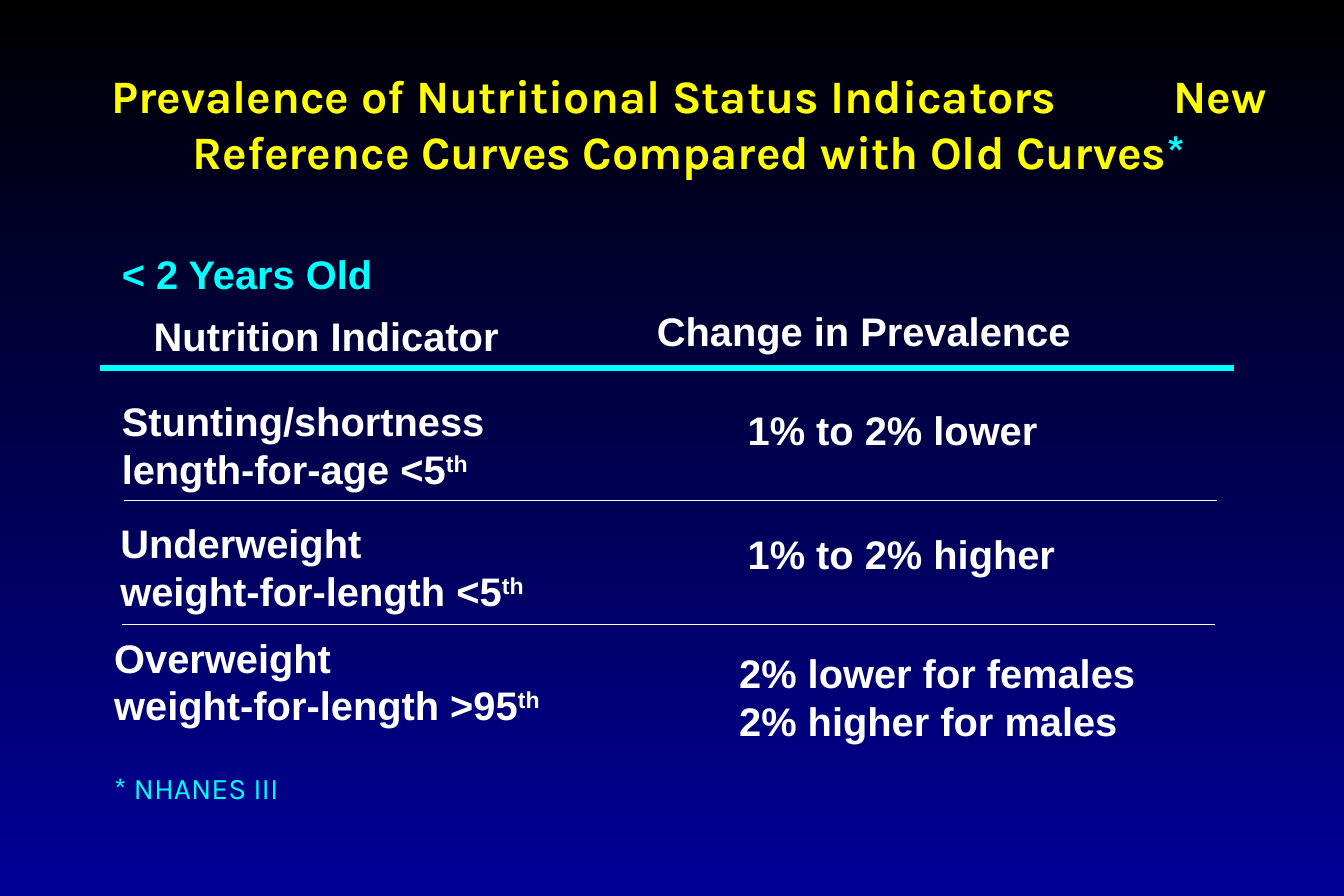
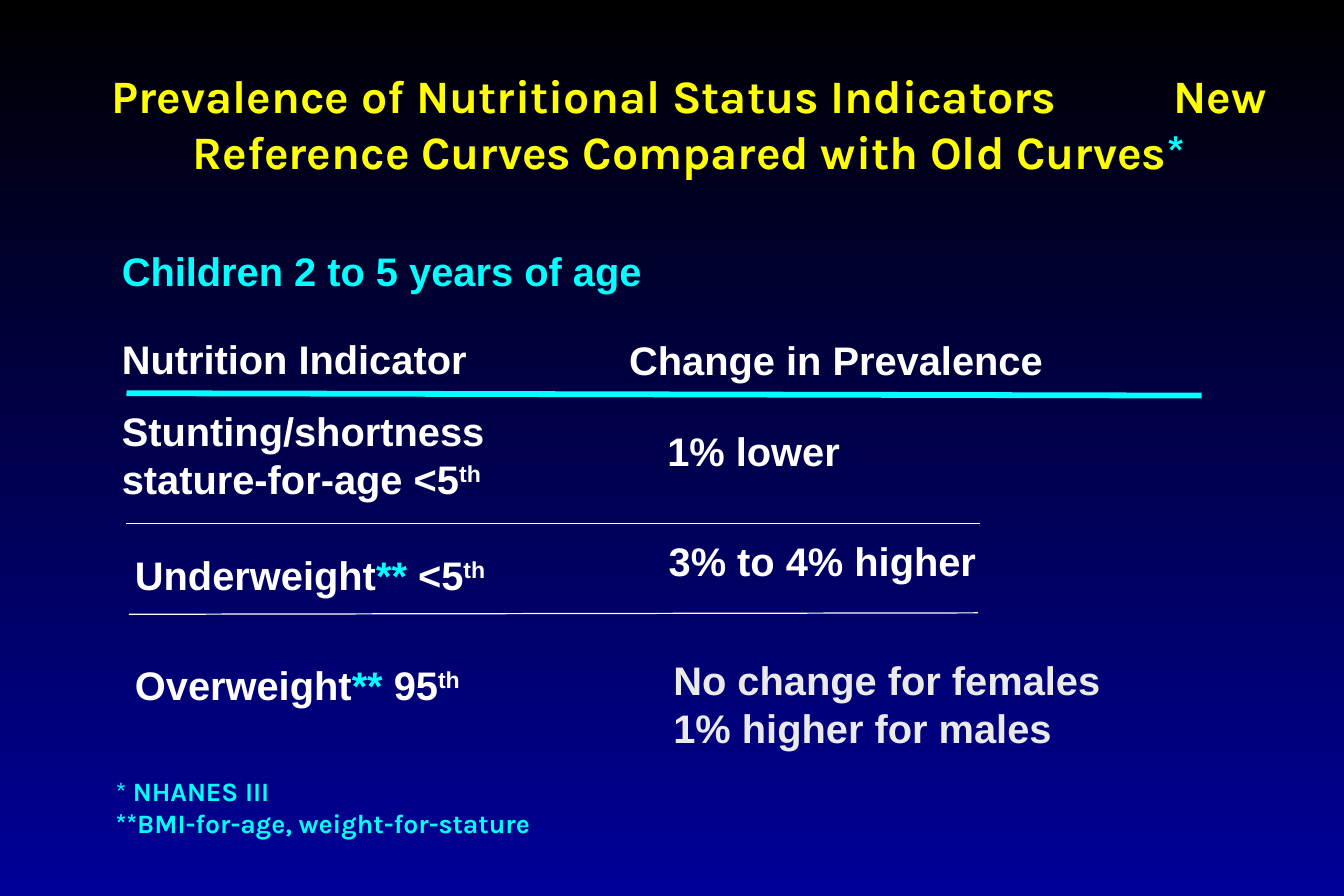
from lxml import etree
from pptx import Presentation
from pptx.dml.color import RGBColor
from pptx.enum.shapes import MSO_CONNECTOR
from pptx.enum.text import MSO_AUTO_SIZE
from pptx.oxml.ns import qn
from pptx.util import Cm, Pt

STRAIGHT = MSO_CONNECTOR.STRAIGHT
FIT_SHAPE = MSO_AUTO_SIZE.SHAPE_TO_FIT_TEXT
NO_FIT = MSO_AUTO_SIZE.NONE

BLACK, NAVY, WHITE = "000000", "000099", "FFFFFF"
YELLOW, CYAN, PALE = "FFFF00", "00FFFF", "EAEAEA"
BODY_FONT, TITLE_FONT = "Arial", "Karla"

RAISED = ("th", {"raised": True})
STARS = ("**", {"color": CYAN})


def rgb(value):
    return RGBColor.from_string(value)


def add_span(para, text, size=24, font=BODY_FONT, color=WHITE, bold=True, raised=False):
    span = para.add_run()
    span.text = text
    span.font.size = Pt(size)
    span.font.name = font
    span.font.bold = bold
    span.font.color.rgb = rgb(color)
    if raised:
        span.font._element.set("baseline", "30000")


class Slides:
    """Holds the deck, its shared style and the current slide."""

    def __init__(self):
        self.deck = Presentation()
        self.deck.slide_width, self.deck.slide_height = Cm(28.58), Cm(19.05)
        self.page = None
        fill = self.deck.slide_master.background.fill
        fill.gradient()
        fill.gradient_angle = 270
        for stop, position, color in zip(fill.gradient_stops, (0, 1), (BLACK, NAVY)):
            stop.position = position
            stop.color.rgb = rgb(color)

    def start(self):
        self.page = self.deck.slides.add_slide(self.deck.slide_layouts[6])
        self.title()

    def title(self):
        box = self.text(2.13, 1.3, 25.6, [
            ["Prevalence of Nutritional Status Indicators\tNew"],
            ["Reference Curves Compared with Old Curves", ("*", {"color": CYAN})],
        ], wrap=True, size=28, font=TITLE_FONT, color=YELLOW)
        first, second = (para._p.get_or_add_pPr() for para in box.text_frame.paragraphs)
        tabs = etree.SubElement(first, qn("a:tabLst"))
        etree.SubElement(tabs, qn("a:tab"), pos=str(Cm(22.57)), algn="l")
        second.set("marL", str(Cm(1.72)))
        second.set("indent", "0")

    def text(self, left, top, width, paragraphs, wrap=False, **style):
        """Each paragraph is a list of strings or (string, style changes) pairs."""
        height = 0.25 + 1.02 * len(paragraphs) * style.get("size", 24) / 24
        box = self.page.shapes.add_textbox(Cm(left), Cm(top), Cm(width), Cm(height))
        frame = box.text_frame
        frame.word_wrap = wrap
        frame.auto_size = NO_FIT if wrap else FIT_SHAPE
        for index, spans in enumerate(paragraphs):
            para = frame.add_paragraph() if index else frame.paragraphs[0]
            for span in spans:
                words, changes = (span, {}) if isinstance(span, str) else span
                add_span(para, words, **{**style, **changes})
        return box

    def rule(self, left, top, right, bottom=None, color=WHITE, weight=0.75):
        end = top if bottom is None else bottom
        line = self.page.shapes.add_connector(STRAIGHT, Cm(left), Cm(top), Cm(right), Cm(end))
        line.line.color.rgb = rgb(color)
        line.line.width = Pt(weight)
        etree.SubElement(line._element.spPr, qn("a:effectLst"))

    def header_rule(self, left, top, right, bottom=None):
        self.rule(left, top, right, bottom, color=CYAN, weight=3.5)


def infants(slides):
    slides.start()
    slides.text(2.34, 5.18, 6.2, [["< 2 Years Old"]], wrap=True, color=CYAN)
    slides.text(3.02, 6.5, 7.85, [["Nutrition Indicator"]])
    slides.text(13.72, 6.4, 9.3, [["Change in Prevalence"]])
    slides.header_rule(2.13, 7.82, 26.24)

    slides.text(2.34, 8.31, 8.23, [["Stunting/shortness"], ["length-for-age <5", RAISED]])
    slides.text(15.65, 8.51, 6.91, [["1% to 2% lower"]])
    slides.rule(2.64, 10.64, 25.88)

    slides.text(2.31, 10.9, 9.14, [["Underweight"], ["weight-for-length <5", RAISED]])
    slides.text(15.65, 11.13, 7.04, [["1% to 2% higher"]])
    slides.rule(2.59, 13.28, 25.83)

    slides.text(2.18, 13.34, 9.63, [["Overweight"], ["weight-for-length >95", RAISED]])
    slides.text(15.47, 13.67, 8.94, [["2% lower for females"], ["2% higher for males"]])
    slides.text(2.18, 16.23, 4.34, [["* NHANES III"]],
                size=18, font=TITLE_FONT, color=CYAN, bold=False)


def children(slides):
    slides.start()
    slides.text(2.34, 5.13, 11.56, [["Children 2 to 5 years of age"]], color=CYAN)
    slides.text(2.34, 6.99, 7.85, [["Nutrition Indicator"]])
    slides.text(13.13, 7.01, 9.3, [["Change in Prevalence"]])
    slides.header_rule(2.69, 8.36, 25.55, 8.41)

    slides.text(2.34, 8.53, 8.46, [["Stunting/shortness"], ["stature-for-age <5", RAISED]])
    slides.text(13.94, 8.94, 4.19, [["1% lower"]])
    slides.rule(2.69, 11.13, 20.85)

    slides.text(2.62, 11.58, 8.26, [["Underweight", STARS, " <5", RAISED]])
    slides.text(13.97, 11.28, 7.04, [["3% to 4% higher"]])
    slides.rule(2.74, 13.06, 20.8, 13.03)

    slides.text(2.62, 13.92, 7.49, [["Overweight", STARS, " 95", RAISED]])
    slides.text(14.07, 13.82, 9.6, [["No change for females"], ["1% higher for males"]],
                color=PALE)
    slides.text(2.21, 16.36, 10.36, [
        [("* ", {"bold": False}), "NHANES III"],
        ["**BMI-for-age, weight-for-stature"],
    ], size=16, font=TITLE_FONT, color=CYAN)


def main():
    slides = Slides()
    infants(slides)
    children(slides)
    slides.deck.save("out.pptx")


if __name__ == "__main__":
    main()
